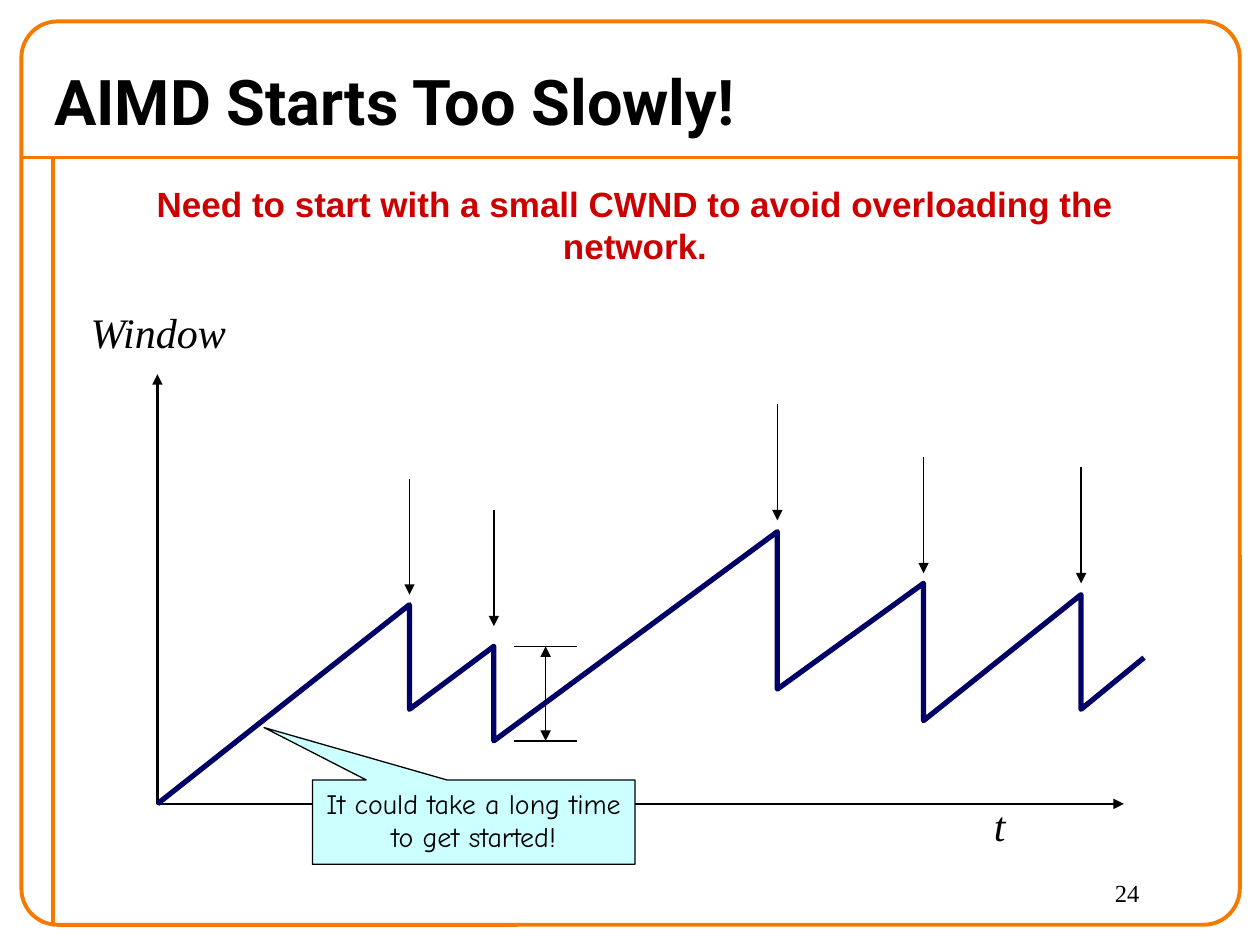
import dataclasses

import lxml.etree
import pptx
import pptx.dml.color
import pptx.enum.shapes
import pptx.enum.text
import pptx.oxml.ns
import pptx.util

Inches = pptx.util.Inches
Pt = pptx.util.Pt
RGB = pptx.dml.color.RGBColor.from_string
ALIGN = pptx.enum.text.PP_ALIGN
ANCHOR = pptx.enum.text.MSO_ANCHOR
SHAPE = pptx.enum.shapes.MSO_SHAPE


@dataclasses.dataclass(frozen=True)
class Theme:
    ink: str = "000000"
    frame: str = "F47A00"
    curve: str = "000066"
    warning: str = "CC0000"
    callout: str = "CCFFFF"
    title_size: int = 36
    label_size: int = 24
    message_size: int = 20
    callout_size: int = 16
    number_size: int = 14


theme = Theme()


def style_line(shape, color, width, ends=()):
    """Set a plain, shadowless outline with optional headEnd/tailEnd arrows."""
    shape.line.color.rgb = RGB(color)
    shape.line.width = Pt(width)
    properties = shape.line._get_or_add_ln()
    qn = pptx.oxml.ns.qn
    lxml.etree.SubElement(properties, qn("a:round"))
    for end in ends:
        lxml.etree.SubElement(properties, qn(f"a:{end}"), type="triangle")
    effects = properties.getparent().find(qn("a:effectLst"))
    if effects is None:
        properties.addnext(lxml.etree.Element(qn("a:effectLst")))


def write_text(shape, text, font, size, color=theme.ink, align=ALIGN.LEFT,
               anchor=ANCHOR.TOP, wrap=True, bold=False, italic=False):
    frame = shape.text_frame
    frame.text = text
    frame.word_wrap = wrap
    frame.vertical_anchor = anchor
    paragraph = frame.paragraphs[0]
    paragraph.alignment = align
    paragraph.font.name = font
    paragraph.font.size = Pt(size)
    paragraph.font.color.rgb = RGB(color)
    paragraph.font.bold = bold
    paragraph.font.italic = italic


presentation = pptx.Presentation()
presentation.slide_width = Inches(10)
presentation.slide_height = Inches(7.5)
slide = presentation.slides.add_slide(presentation.slide_layouts[5])
shapes = slide.shapes

# Orange frame and rules
rules = [(0.17, 1.25, 9.83, 1.25), (0.42, 1.25, 0.42, 7.33)]
for ends in rules:
    rule = shapes.add_connector(pptx.enum.shapes.MSO_CONNECTOR.STRAIGHT, *map(Inches, ends))
    style_line(rule, theme.frame, 2.25)
border = shapes.add_shape(SHAPE.ROUNDED_RECTANGLE, *map(Inches, (0.17, 0.17, 9.67, 7.17)))
border.adjustments[0] = 0.04
border.fill.background()
style_line(border, theme.frame, 2.25)

# Title
title = shapes.title
title.left, title.top, title.width, title.height = map(Inches, (0.33, 0.42, 9.67, 0.75))
write_text(title, "AIMD Starts Too Slowly!", "Roboto", theme.title_size,
           anchor=ANCHOR.MIDDLE, bold=True)

# Axes and sawtooth window curve
axes = [(1.25, 2.97), (1.25, 6.38), (8.92, 6.38)]
sawtooth = [(1.25, 6.38), (3.25, 4.8), (3.25, 5.63), (3.92, 5.13), (3.92, 5.88),
            (6.17, 4.22), (6.17, 5.47), (7.33, 4.63), (7.33, 5.72),
            (8.58, 4.72), (8.58, 5.63), (9.08, 5.22)]
for points, color, width, arrows in [
    (axes, theme.ink, 1.5, ("headEnd", "tailEnd")),
    (sawtooth, theme.curve, 3, ()),
]:
    start, *rest = [(Inches(x), Inches(y)) for x, y in points]
    builder = shapes.build_freeform(*start)
    builder.add_line_segments(rest, close=False)
    polyline = builder.convert_to_shape()
    polyline.fill.background()
    style_line(polyline, color, width, arrows)

# Axis labels and slide number
for text, box, size, wrap, italic in [
    ("t", (7.79, 6.3, 0.29, 0.5), theme.label_size, False, True),
    ("Window", (0.62, 2.38, 1.29, 0.5), theme.label_size, False, True),
    ("24", (8.75, 6.92, 1, 0.42), theme.number_size, True, False),
]:
    label = shapes.add_textbox(*map(Inches, box))
    write_text(label, text, "Times New Roman", size, wrap=wrap, italic=italic)

# Bracket around one window drop, then an arrow above each loss
top, bottom = 5.13, 5.88
markers = [((4.08, y, 4.58, y), ()) for y in (top, bottom)]
markers.append(((4.33, top, 4.33, bottom), ("headEnd", "tailEnd")))
arrow_length = 0.92
for x, tip in [(3.25, 4.72), (3.92, 4.97), (6.17, 4.13), (7.33, 4.55), (8.58, 4.63)]:
    markers.append(((x, tip - arrow_length, x, tip), ("tailEnd",)))
for ends, arrows in markers:
    marker = shapes.add_connector(pptx.enum.shapes.MSO_CONNECTOR.STRAIGHT, *map(Inches, ends))
    style_line(marker, theme.ink, 0.75, arrows)

# Callout on the first slope
callout = shapes.add_shape(SHAPE.RECTANGULAR_CALLOUT, *map(Inches, (2.48, 6.19, 2.56, 0.67)))
callout.adjustments[0] = -0.65
callout.adjustments[1] = -1.12
callout.fill.solid()
callout.fill.fore_color.rgb = RGB(theme.callout)
style_line(callout, theme.ink, 0.75)
write_text(callout, "It could take a long time to get started!", "Comic Neue",
           theme.callout_size, align=ALIGN.CENTER)

# Key message
message = shapes.add_textbox(*map(Inches, (0.54, 1.4, 9, 0.43)))
write_text(message, "Need to start with a small CWND to avoid overloading the network.",
           "Arial", theme.message_size, theme.warning, ALIGN.CENTER, bold=True)

presentation.save("out.pptx")
